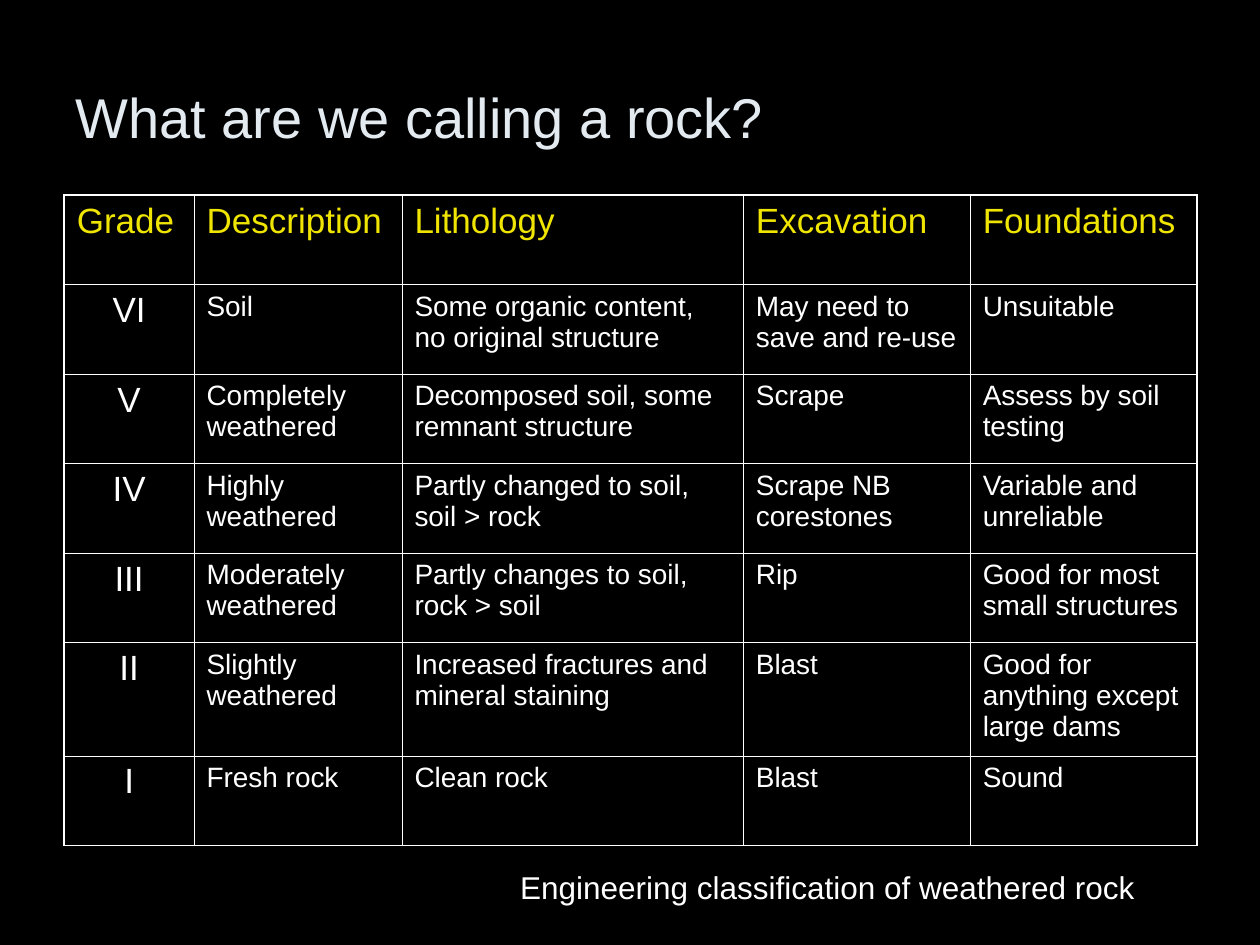
"""Build the slide on the engineering classification of weathered rock."""
import pptx
import pptx.dml.color
import pptx.enum.text
import pptx.oxml
import pptx.oxml.ns
import pptx.util

FONT = "Arial"
COLORS = {"ground": "000000", "title": "E3EBF1", "heading": "F0E500", "body": "FFFFFF"}
COLUMN_WIDTHS = [1.03, 1.65, 2.71, 1.8, 1.8]
ROW_HEIGHTS = [0.71] * 5 + [0.9, 0.71]
INNER_LINE, OUTER_LINE = 0.45, 1.08
LEFT = pptx.enum.text.PP_ALIGN.LEFT
CENTER = pptx.enum.text.PP_ALIGN.CENTER
GRADES = [
    ["Grade", "Description", "Lithology", "Excavation", "Foundations"],
    ["VI", "Soil", "Some organic content, no original structure",
     "May need to save and re-use", "Unsuitable"],
    ["V", "Completely weathered", "Decomposed soil, some remnant structure",
     "Scrape", "Assess by soil testing"],
    ["IV", "Highly weathered", "Partly changed to soil, soil > rock",
     "Scrape NB corestones", "Variable and unreliable"],
    ["III", "Moderately weathered", "Partly changes to soil, rock > soil",
     "Rip", "Good for most small structures"],
    ["II", "Slightly weathered", "Increased fractures and mineral staining",
     "Blast", "Good for anything except large dams"],
    ["I", "Fresh rock", "Clean rock", "Blast", "Sound"],
]


def inches(*lengths):
    return [pptx.util.Inches(length) for length in lengths]


def rgb(name):
    return pptx.dml.color.RGBColor.from_string(COLORS[name])


def write(frame, wording, size, color, align=LEFT):
    frame.text = wording
    paragraph = frame.paragraphs[0]
    paragraph.alignment = align
    font = paragraph.runs[0].font
    font.name, font.size, font.bold = FONT, pptx.util.Pt(size), False
    font.color.rgb = rgb(color)


def rule_cell(cell, widths):
    properties = cell._tc.get_or_add_tcPr()
    for place, (side, width) in enumerate(widths.items()):
        line = pptx.oxml.parse_xml(
            f'<a:ln{side} {pptx.oxml.ns.nsdecls("a")} w="{pptx.util.Pt(width)}">'
            f'<a:solidFill><a:srgbClr val="{COLORS["body"]}"/></a:solidFill></a:ln{side}>')
        properties.insert(place, line)


def add_title(slide, wording):
    title = slide.shapes.title
    title.left, title.top, title.width, title.height = inches(0.5, 0.3, 9, 1.25)
    frame = title.text_frame
    frame.auto_size = pptx.enum.text.MSO_AUTO_SIZE.NONE
    frame.vertical_anchor = pptx.enum.text.MSO_ANCHOR.MIDDLE
    write(frame, wording, 32, "title")


def add_classification(slide):
    bounds = inches(0.51, 1.55, sum(COLUMN_WIDTHS), sum(ROW_HEIGHTS))
    last_row, last_column = len(ROW_HEIGHTS) - 1, len(COLUMN_WIDTHS) - 1
    table = slide.shapes.add_table(last_row + 1, last_column + 1, *bounds).table
    for column, width in zip(table.columns, inches(*COLUMN_WIDTHS)):
        column.width = width
    for row, height in zip(table.rows, inches(*ROW_HEIGHTS)):
        row.height = height
    for r, entries in enumerate(GRADES):
        for c, wording in enumerate(entries):
            cell = table.cell(r, c)
            cell.fill.background()
            write(cell.text_frame, wording,
                  20 if r == 0 or c == 0 else 16,
                  "heading" if r == 0 else "body",
                  CENTER if c == 0 and r > 0 else LEFT)
            outer = {"L": c == 0, "R": c == last_column, "T": r == 0, "B": r == last_row}
            rule_cell(cell, {side: OUTER_LINE if edge else INNER_LINE
                             for side, edge in outer.items()})


def add_caption(slide, wording):
    frame = slide.shapes.add_textbox(*inches(4.03, 6.84, 5.08, 0.4)).text_frame
    frame.word_wrap = False
    frame.auto_size = pptx.enum.text.MSO_AUTO_SIZE.SHAPE_TO_FIT_TEXT
    write(frame, wording, 18, "body")


def main():
    deck = pptx.Presentation()
    deck.slide_width, deck.slide_height = inches(10, 7.5)
    slide = deck.slides.add_slide(deck.slide_layouts.get_by_name("Title Only"))
    slide.background.fill.solid()
    slide.background.fill.fore_color.rgb = rgb("ground")
    add_title(slide, "What are we calling a rock?")
    add_classification(slide)
    add_caption(slide, "Engineering classification of weathered rock")
    deck.save("out.pptx")


if __name__ == "__main__":
    main()
